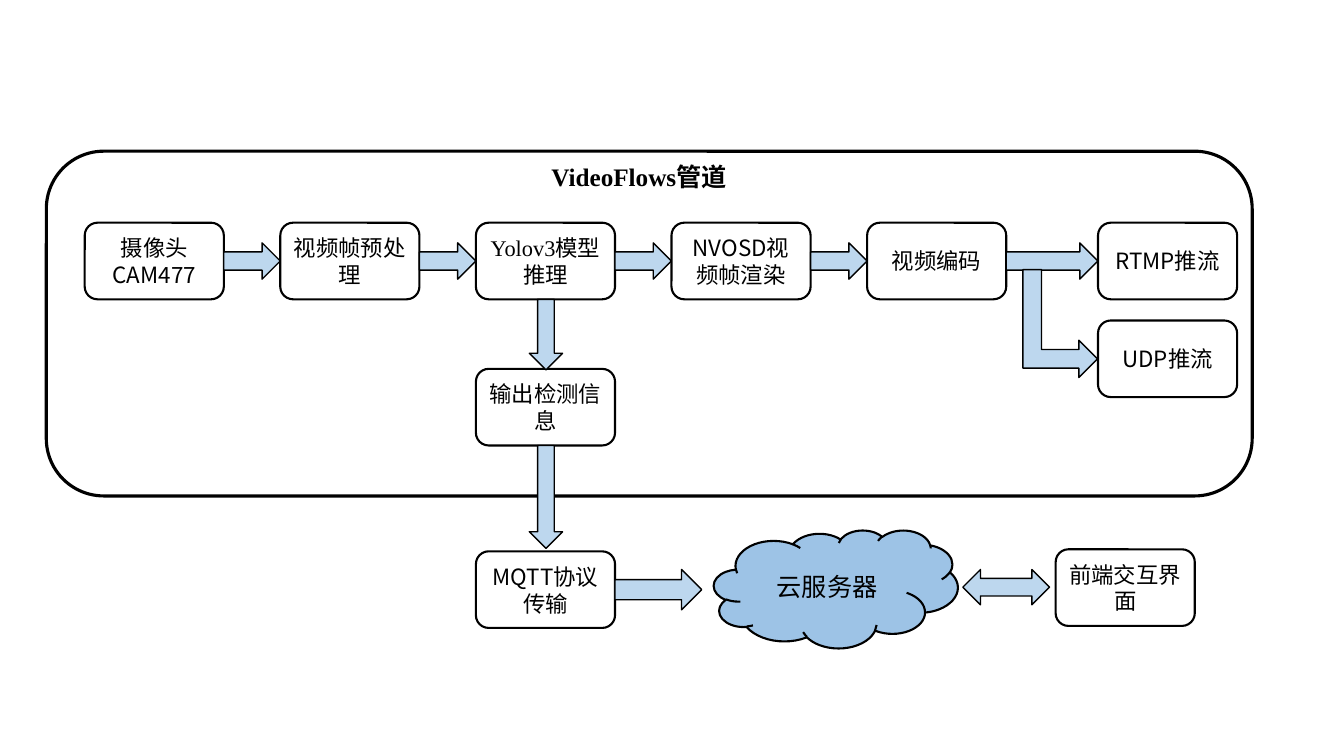
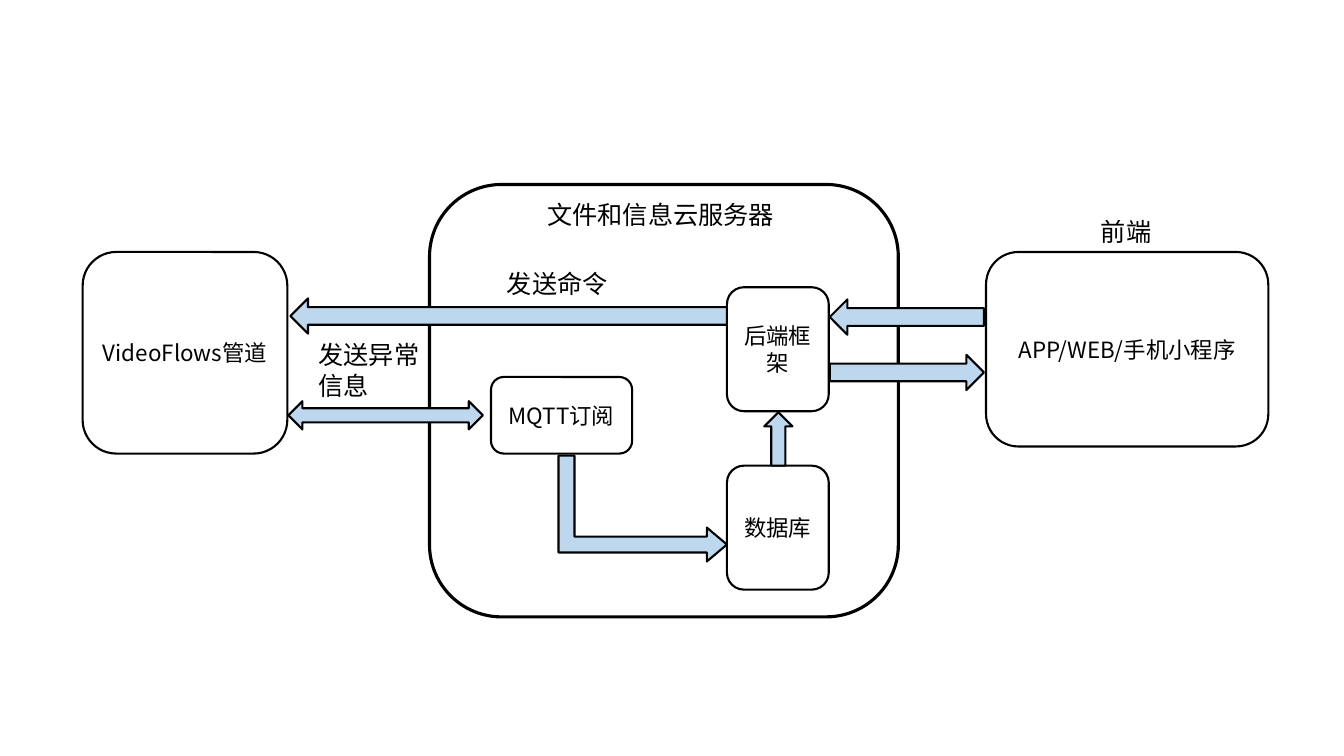
from pptx import Presentation
from pptx.dml.color import RGBColor
from pptx.enum.shapes import MSO_SHAPE
from pptx.enum.text import MSO_ANCHOR, MSO_AUTO_SIZE, PP_ALIGN
from pptx.oxml.ns import qn
from pptx.util import Inches, Pt
from lxml import etree

BOX, CLOUD = MSO_SHAPE.ROUNDED_RECTANGLE, MSO_SHAPE.CLOUD
RIGHT, LEFT = MSO_SHAPE.RIGHT_ARROW, MSO_SHAPE.LEFT_ARROW
UP, DOWN = MSO_SHAPE.UP_ARROW, MSO_SHAPE.DOWN_ARROW
BOTH, BENT = MSO_SHAPE.LEFT_RIGHT_ARROW, MSO_SHAPE.BENT_UP_ARROW
MID, MIDDLE = PP_ALIGN.CENTER, MSO_ANCHOR.MIDDLE
GROW = MSO_AUTO_SIZE.SHAPE_TO_FIT_TEXT

BLACK, PALE, SKY = "000000", "BDD7EE", "9DC3E6"
SANS, SERIF = "Noto Sans CJK SC", "Times New Roman"


def write(shape, parts, size, bold=False):
    """Fill the first paragraph with (text, font) parts; a plain string is sans."""
    if isinstance(parts, str):
        parts = [(parts, SANS)]
    shape.text_frame.word_wrap = True
    para = shape.text_frame.paragraphs[0]
    for text, face in parts:
        run = para.add_run()
        run.text = text
        font = run.font
        font.size, font.bold, font.name = Pt(size), bold, face
        font.color.rgb = RGBColor.from_string(BLACK)
        east = etree.SubElement(run._r.get_or_add_rPr(), qn("a:ea"))
        east.set("typeface", SANS)
    return para


def draw(slide, kind, at, fill=None, weight=1.5, text="", size=16):
    shape = slide.shapes.add_shape(kind, *map(Inches, at))
    shape.shadow.inherit = False
    if fill:
        shape.fill.solid()
        shape.fill.fore_color.rgb = RGBColor.from_string(fill)
    else:
        shape.fill.background()
    shape.line.color.rgb = RGBColor.from_string(BLACK)
    shape.line.width = Pt(weight)
    if text:
        shape.text_frame.vertical_anchor = MIDDLE
        write(shape, text, size).alignment = MID
    return shape


deck = Presentation()
deck.slide_width, deck.slide_height = Inches(13.33), Inches(7.5)
blank = deck.slide_layouts[6]

# Slide 1: video pipeline
flow = deck.slides.add_slide(blank)
draw(flow, BOX, (0.46, 1.5, 11.96, 3.42), weight=2.25)
wide, high, top, start, step = 1.38, 0.76, 2.21, 0.84, 1.94
stages = ["摄像头CAM477", "视频帧预处理", [("Yolov3", SERIF), ("模型推理", SANS)],
          "NVOSD视频帧渲染", "视频编码"]
for i, stage in enumerate(stages):
    left = start + i * step
    draw(flow, BOX, (left, top, wide, high), text=stage)
    if i < len(stages) - 1:
        draw(flow, RIGHT, (left + wide, 2.41, step - wide, 0.36), PALE, 1)

model = start + 2 * step
for left, y, text in [
    (10.89, top, "RTMP推流"),
    (10.89, 3.18, "UDP推流"),
    (model, 3.66, "输出检测信息"),
    (model, 5.47, "MQTT协议传输"),
    (10.47, 5.45, "前端交互界面"),
]:
    draw(flow, BOX, (left, y, wide, high), text=text)

for kind, at in [
    (RIGHT, (9.98, 2.41, 0.91, 0.36)),
    (DOWN, (5.25, 2.97, 0.33, 0.7)),
    (DOWN, (5.25, 4.42, 0.33, 1.02)),
    (RIGHT, (6.1, 5.65, 0.86, 0.4)),
    (BOTH, (9.55, 5.65, 0.86, 0.35)),
]:
    draw(flow, kind, at, PALE, 1)
draw(flow, BENT, (9.98, 2.84, 1.07, 0.74), PALE, 1).rotation = 90
draw(flow, CLOUD, (7.08, 5.26, 2.42, 1.17), SKY, text="云服务器", size=18)

# Slide 2: cloud server and its clients
cloud = deck.slides.add_slide(blank)
draw(cloud, BOX, (4.26, 1.83, 4.65, 4.29), weight=2.25)
for at, text in [
    ((0.82, 2.5, 2.03, 2), "VideoFlows管道"),
    ((7.21, 4.62, 1.01, 1.23), "数据库"),
    ((7.21, 2.85, 1.01, 1.23), "后端框架"),
    ((4.87, 3.74, 1.4, 0.76), "MQTT订阅"),
    ((9.78, 2.5, 2.8, 1.93), "APP/WEB/手机小程序"),
]:
    draw(cloud, BOX, at, text=text)

for kind, at in [
    (BOTH, (2.86, 3.98, 1.93, 0.28)),
    (UP, (7.58, 4.09, 0.28, 0.53)),
    (RIGHT, (8.23, 3.52, 1.53, 0.35)),
    (LEFT, (8.23, 2.97, 1.53, 0.35)),
    (LEFT, (2.88, 2.96, 4.33, 0.35)),
]:
    draw(cloud, kind, at, PALE)
bend = draw(cloud, BENT, (5.85, 4.21, 1.05, 1.67), PALE)
bend.rotation = 90
for i, ratio in enumerate((0.15, 0.16, 0.19)):
    bend.adjustments[i] = ratio

# Free labels on both slides
for slide, at, text, bold in [
    (flow, (5.37, 1.55, 2.14, 0.4), [("VideoFlows", SERIF), ("管道", SANS)], True),
    (cloud, (5.33, 1.93, 2.5, 0.4), "文件和信息云服务器", False),
    (cloud, (3.06, 3.32, 1.24, 0.71), "发送异常信息", False),
    (cloud, (10.82, 2.1, 0.86, 0.4), "前端", False),
    (cloud, (4.93, 2.61, 1.25, 0.4), "发送命令", False),
]:
    label = slide.shapes.add_textbox(*map(Inches, at))
    label.text_frame.auto_size = GROW
    write(label, text, 18, bold)

deck.save("out.pptx")
